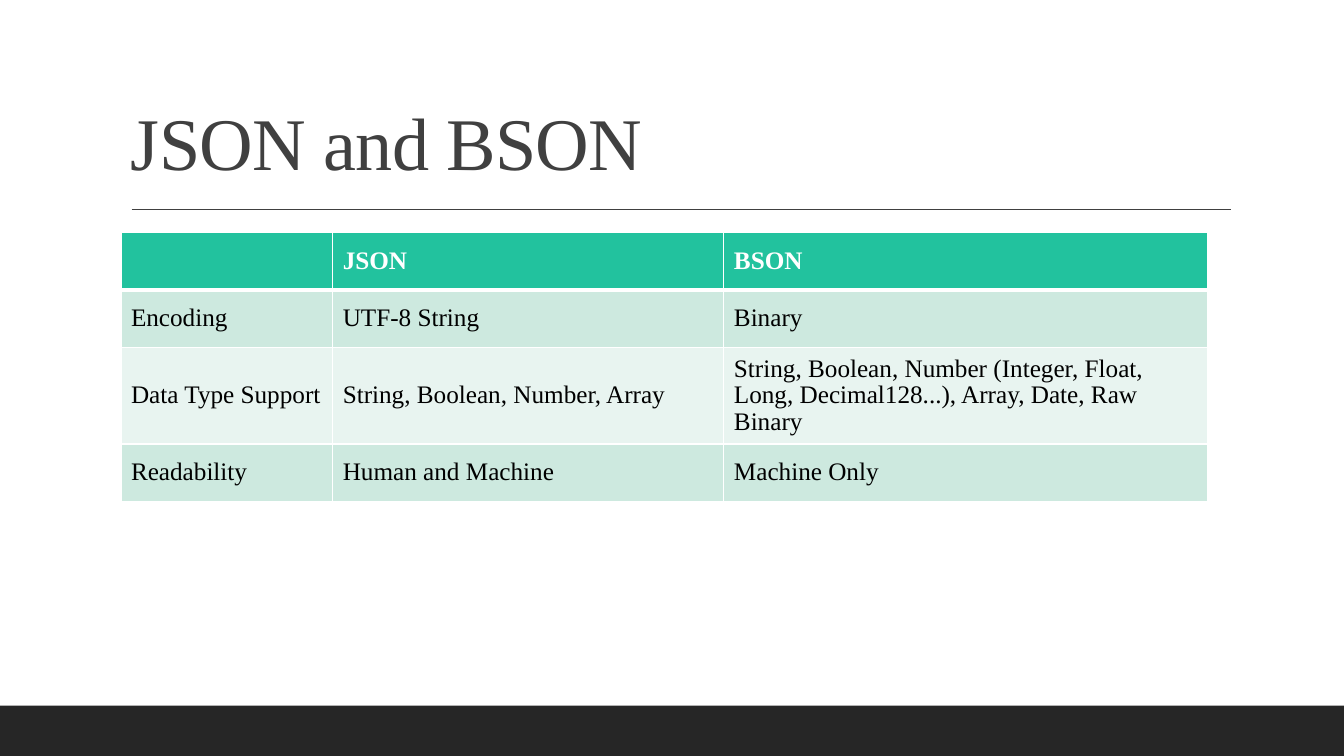
from lxml.etree import SubElement
from pptx import Presentation
from pptx.dml.color import RGBColor
from pptx.enum.shapes import MSO_CONNECTOR as Connector, MSO_SHAPE as Shape
from pptx.enum.text import MSO_ANCHOR as Anchor
from pptx.oxml import parse_xml
from pptx.oxml.ns import nsdecls, qn
from pptx.util import Inches, Pt

WIDTH, HEIGHT = 13.33, 7.5
LEFT = 0.09
COLUMNS = (2.1, 3.88, 4.8)
ROWS = (0.57, 0.57, 0.93, 0.57)
COMPARISON = (
    ("", "JSON", "BSON"),
    ("Encoding", "UTF-8 String", "Binary"),
    ("Data Type Support", "String, Boolean, Number, Array",
     "String, Boolean, Number (Integer, Float, Long, Decimal128...), Array, Date, Raw Binary"),
    ("Readability", "Human and Machine", "Machine Only"),
)


def colour(hex_text):
    """Turn a hex string into a colour."""
    return RGBColor.from_string(hex_text)


class Deck:
    """Draw styled elements on one slide, placed by shares of its size."""

    FONT = "Times New Roman"
    INK, BAND, WHITE, BLACK = "404040", "262626", "FFFFFF", "000000"
    HEADER, STRIPES = "22C29E", ("E8F4F0", "CDE9DF")

    def __init__(self):
        """Open a presentation with one blank slide."""
        self.deck = Presentation()
        self.deck.slide_width, self.deck.slide_height = Inches(WIDTH), Inches(HEIGHT)
        self.slide = self.deck.slides.add_slide(self.deck.slide_layouts[6])

    def place(self, x, y):
        """Turn shares of the slide into lengths."""
        return Inches(WIDTH * x), Inches(HEIGHT * y)

    def style(self, paragraph, size, ink, bold=False):
        """Set the font of a paragraph."""
        font = paragraph.font
        font.name, font.size, font.bold = self.FONT, Pt(size), bold
        font.color.rgb = colour(ink)

    def band(self, x, y, width, height):
        """Draw a plain filled band."""
        band = self.slide.shapes.add_shape(
            Shape.RECTANGLE, *self.place(x, y), *self.place(width, height))
        band.shadow.inherit = False
        band.fill.solid()
        band.fill.fore_color.rgb = colour(self.BAND)
        band.line.fill.background()

    def rule(self, start, end, y):
        """Draw a horizontal rule."""
        rule = self.slide.shapes.add_connector(
            Connector.STRAIGHT, *self.place(start, y), *self.place(end, y))
        rule.line.color.rgb = colour(self.INK)
        rule.line.width = Pt(1)
        SubElement(rule._element.spPr, qn("a:effectLst"))

    def title(self, text, x, y, width, height):
        """Write the slide title on the bottom of its box."""
        frame = self.slide.shapes.add_textbox(
            *self.place(x, y), *self.place(width, height)).text_frame
        frame.word_wrap = True
        frame.vertical_anchor = Anchor.BOTTOM
        heading = frame.paragraphs[0]
        heading.line_spacing = 0.9
        heading.add_run().text = text
        self.style(heading, 53, self.INK)
        heading.runs[0]._r.get_or_add_rPr().set("spc", "-50")

    def borders(self, cell, **widths):
        """Give a cell white borders, with widths in points by side."""
        for position, side in enumerate("LRTB"):
            cell._tc.get_or_add_tcPr().insert(position, parse_xml(
                f'<a:ln{side} {nsdecls("a")} w="{Pt(widths.get(side, 1))}">'
                f'<a:solidFill><a:srgbClr val="{self.WHITE}"/></a:solidFill></a:ln{side}>'))

    def table(self, content, x, y, columns, rows):
        """Draw a striped table under a bold header row."""
        table = self.slide.shapes.add_table(
            len(rows), len(columns), *self.place(x, y),
            Inches(sum(columns)), Inches(sum(rows))).table
        for column, width in zip(table.columns, columns):
            column.width = Inches(width)
        for index, (row, height, texts) in enumerate(zip(table.rows, rows, content)):
            row.height = Inches(height)
            header = index == 0
            for cell, text in zip(row.cells, texts):
                cell.text = text
                cell.vertical_anchor = Anchor.MIDDLE
                cell.fill.solid()
                cell.fill.fore_color.rgb = colour(
                    self.HEADER if header else self.STRIPES[index % 2])
                entry = cell.text_frame.paragraphs[0]
                entry.line_spacing = 0.95
                self.style(entry, 18, self.WHITE if header else self.BLACK, header)
                self.borders(cell, B=3 if header else 1, T=3 if index == 1 else 1)

    def save(self):
        """Write the presentation."""
        self.deck.save("out.pptx")


def main():
    """Build the comparison slide."""
    deck = Deck()
    deck.band(0, 14 / 15, 1, 1 / 15)
    deck.rule(0.098, 0.916, 0.277)
    deck.title("JSON and BSON", LEFT, 0.04, 0.825, 0.213)
    deck.table(COMPARISON, LEFT, 0.308, COLUMNS, ROWS)
    deck.save()


if __name__ == "__main__":
    main()
